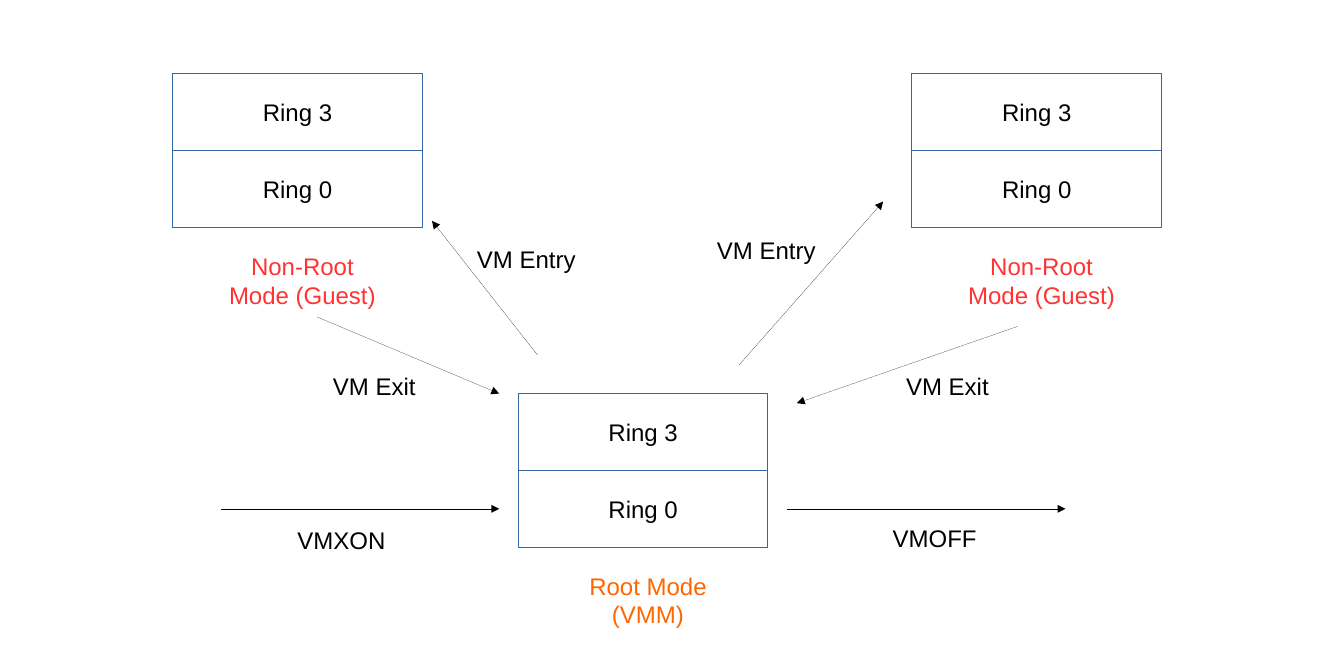
from lxml import etree
from pptx import Presentation
from pptx.dml.color import RGBColor
from pptx.enum import shapes, text
from pptx.oxml.ns import qn
from pptx.util import Pt

BLACK = RGBColor(0x00, 0x00, 0x00)
WHITE = RGBColor(0xFF, 0xFF, 0xFF)
BLUE = RGBColor(0x34, 0x65, 0xA4)
RED = RGBColor(0xFF, 0x33, 0x33)
ORANGE = RGBColor(0xFF, 0x66, 0x00)

RING_W, RING_H = 187.2, 57.6

# Left, top, mode name, colour
MODES = [
    (388.8, 295.2, "Root Mode (VMM)", ORANGE),
    (129.6, 55.44, "Non-Root Mode (Guest)", RED),
    (684, 55.44, "Non-Root Mode (Guest)", RED),
]
# Start x, start y, end x, end y
ARROWS = [
    (403.2, 266.4, 324, 165.6),
    (237.6, 237.6, 374.4, 295.2),
    (554.4, 273.6, 662.4, 151.2),
    (763.2, 244.8, 597.6, 302.4),
    (165.6, 381.6, 374.4, 381.6),
    (590.4, 381.6, 799.2, 381.6),
]
# Left, top, width, words
LABELS = [
    (350.64, 180, 90, "VM Entry"),
    (530.64, 172.8, 90, "VM Entry"),
    (242.64, 275.04, 78, "VM Exit"),
    (672.48, 275.04, 78, "VM Exit"),
    (216, 390.24, 82, "VMXON"),
    (662.4, 388.8, 79, "VMOFF"),
]


def write(shape, words, color, align, wrap=False):
    frame = shape.text_frame
    frame.word_wrap = wrap
    para = frame.paragraphs[0]
    para.alignment = align
    run = para.add_run()
    run.text = words
    run.font.name = "Arial"
    run.font.size = Pt(18)
    run.font.color.rgb = color


def add_ring(group, left, top, words):
    ring = group.shapes.add_shape(
        shapes.MSO_SHAPE.RECTANGLE, Pt(left), Pt(top), Pt(RING_W), Pt(RING_H))
    ring.shadow.inherit = False
    ring.fill.solid()
    ring.fill.fore_color.rgb = WHITE
    ring.line.color.rgb = BLUE
    ring.line.width = Pt(0)
    ring.text_frame.vertical_anchor = text.MSO_ANCHOR.MIDDLE
    write(ring, words, BLACK, text.PP_ALIGN.CENTER)


def add_label(parent, left, top, width, height, words, color=BLACK,
              align=text.PP_ALIGN.LEFT, wrap=False):
    box = parent.shapes.add_textbox(Pt(left), Pt(top), Pt(width), Pt(height))
    box.text_frame.auto_size = text.MSO_AUTO_SIZE.SHAPE_TO_FIT_TEXT
    write(box, words, color, align, wrap)


def add_mode(slide, left, top, name, color):
    group = slide.shapes.add_group_shape()
    add_ring(group, left, top, "Ring 3")
    add_ring(group, left, top + RING_H, "Ring 0")
    add_label(group, left + 28.8, top + 2 * RING_H + 14.4, 136.8, 47.52,
              name, color, text.PP_ALIGN.CENTER, True)


def add_arrow(slide, *ends):
    arrow = slide.shapes.add_connector(
        shapes.MSO_CONNECTOR.STRAIGHT, *[Pt(v) for v in ends])
    # The theme style would thicken a hairline
    arrow.element.remove(arrow.element.find(qn("p:style")))
    arrow.line.color.rgb = BLACK
    arrow.line.width = Pt(0)
    props = arrow.element.spPr
    tip = etree.SubElement(props.find(qn("a:ln")), qn("a:tailEnd"))
    tip.set("type", "triangle")
    etree.SubElement(props, qn("a:effectLst"))


def main():
    deck = Presentation()
    deck.slide_width, deck.slide_height = Pt(1008), Pt(504)
    slide = deck.slides.add_slide(deck.slide_layouts[6])

    # Root and guest modes with their rings
    for mode in MODES:
        add_mode(slide, *mode)

    # Transitions between modes
    for ends in ARROWS:
        add_arrow(slide, *ends)

    # Names of the transitions
    for left, top, width, words in LABELS:
        add_label(slide, left, top, width, 27.36, words)

    deck.save("out.pptx")


if __name__ == "__main__":
    main()
